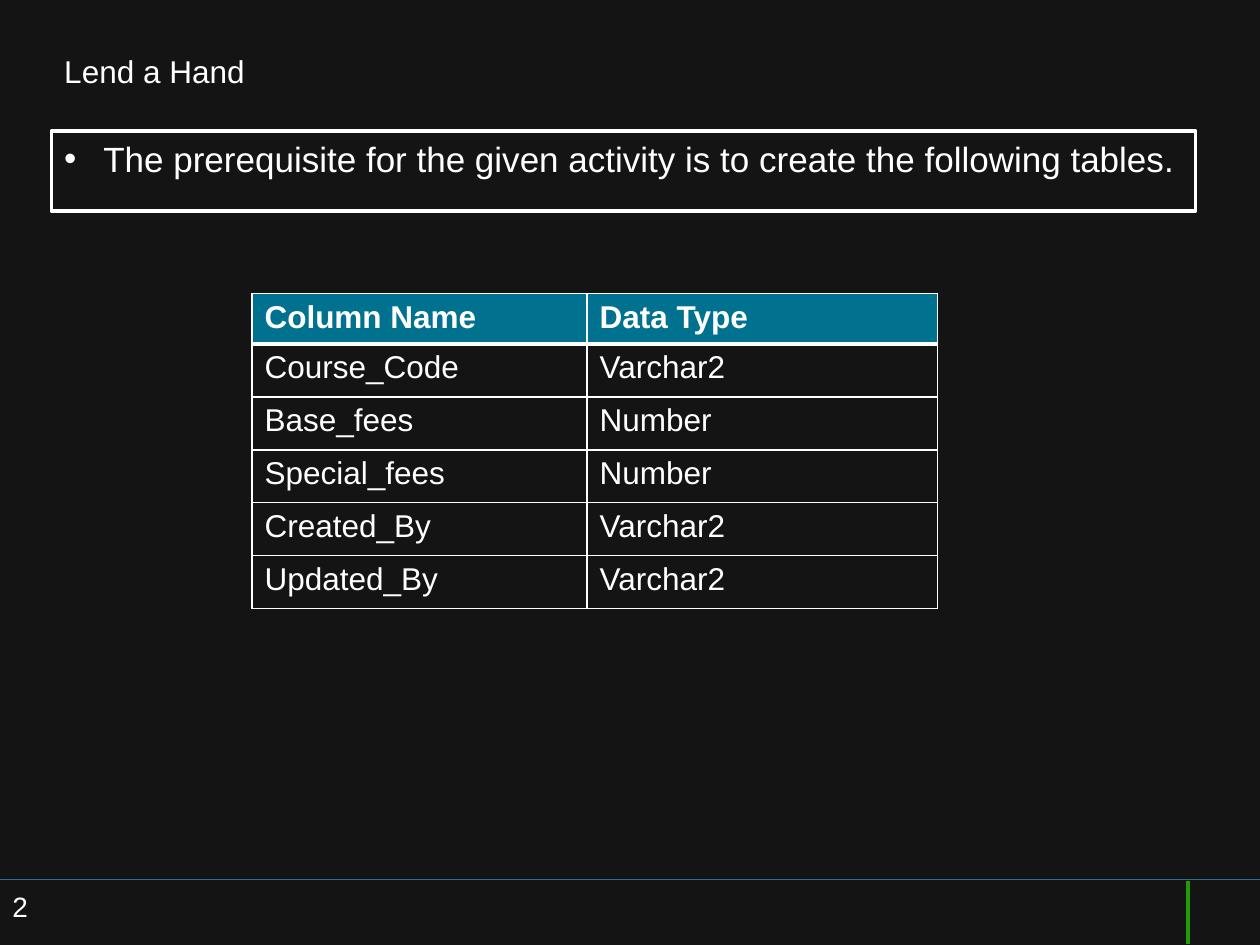
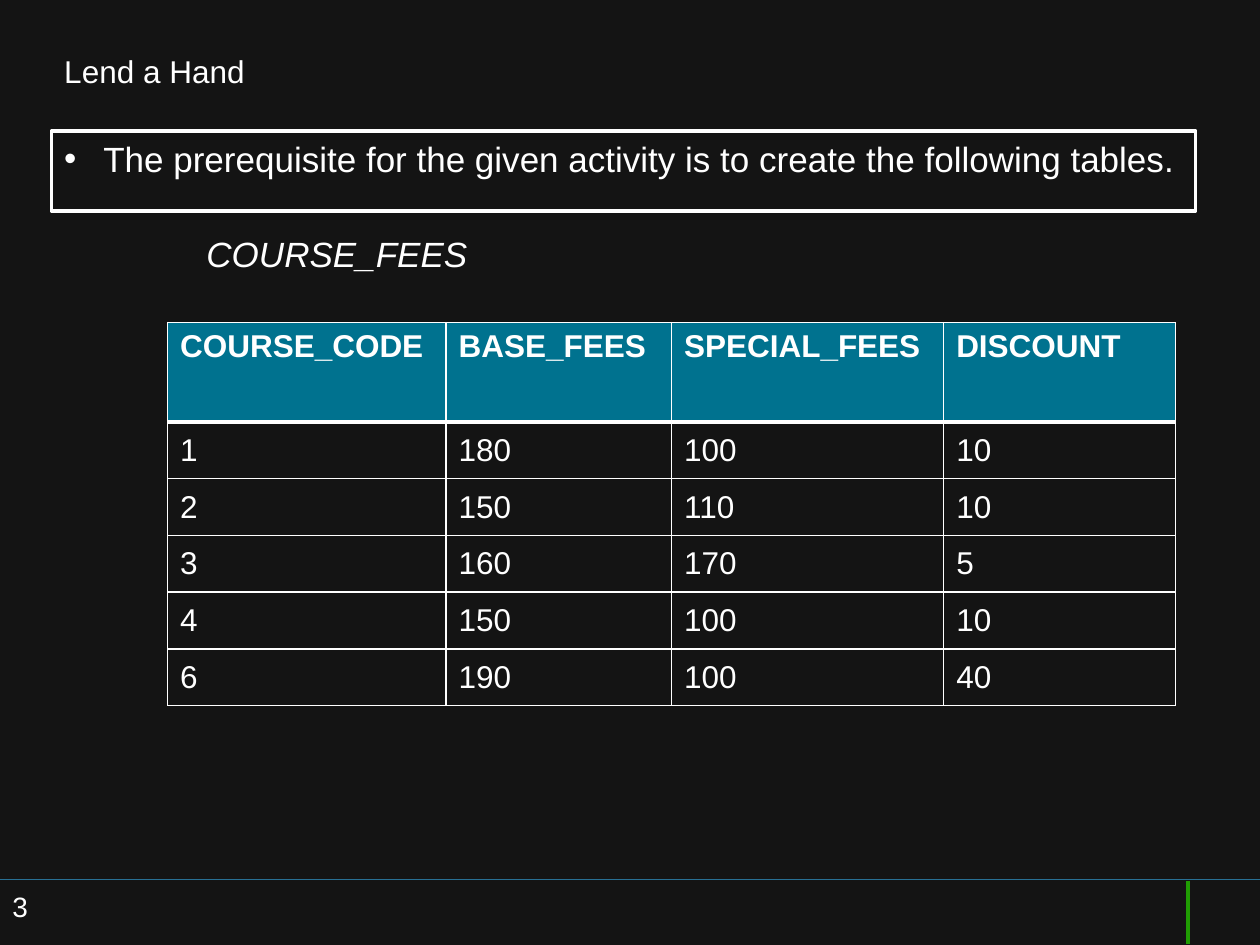
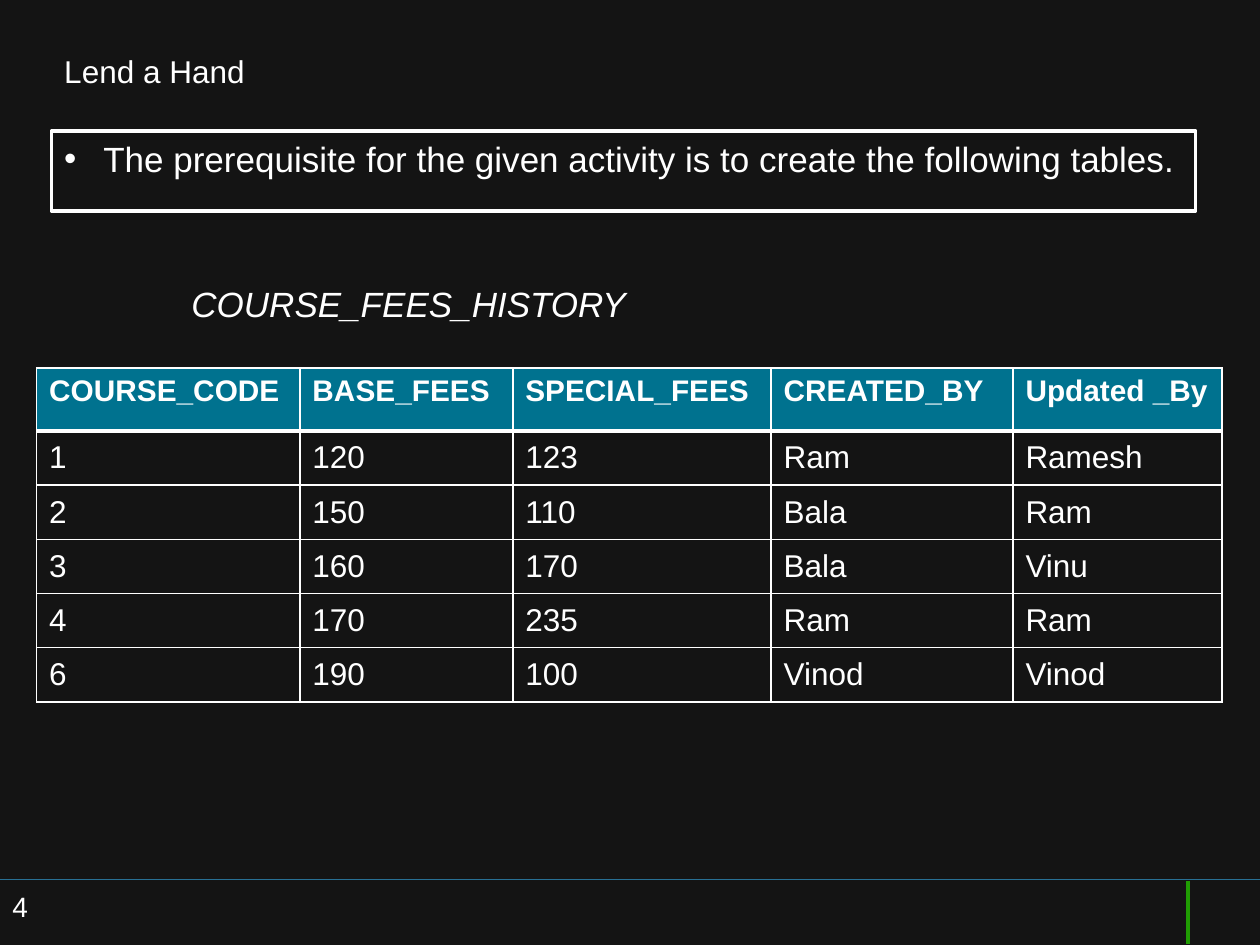
from dataclasses import dataclass

from lxml import etree
from pptx import Presentation
from pptx.dml.color import RGBColor
from pptx.enum import shapes, text
from pptx.oxml import ns
from pptx.util import Inches, Pt

HUES = {"back": "141414", "ink": "FFFFFF", "head": "00728F",
        "rule": "287094", "mark": "209D03"}
FONT = "Arial"
TITLE = "Lend a Hand"
NOTE = "The prerequisite for the given activity is to create the following tables."


@dataclass
class Label:
    words: str
    left: float
    top: float
    width: float
    wrap: bool = True


@dataclass
class Grid:
    left: float
    top: float
    cols: list[float]
    first: float  # height of the header row
    high: float  # height of the other rows
    rows: list[str]  # cells split by "|"
    size: int = 18  # header text size
    middle: bool = True


@dataclass
class Page:
    number: int
    grid: Grid
    label: Label | None = None


PAGES = [
    Page(2, Grid(2, 2.33, [2.66, 2.78], 0.4, 0.42, [
        "Column Name|Data Type",
        "Course_Code|Varchar2",
        "Base_fees|Number",
        "Special_fees|Number",
        "Created_By|Varchar2",
        "Updated_By|Varchar2"], middle=False)),
    Page(3, Grid(1.33, 2.56, [2.21, 1.79, 2.16, 1.84], 0.79, 0.45, [
        "COURSE_CODE|BASE_FEES|SPECIAL_FEES|DISCOUNT",
        "1|180|100|10",
        "2|150|110|10",
        "3|160|170|5",
        "4|150|100|10",
        "6|190|100|40"]), Label("COURSE_FEES", 1.54, 1.8, 2.46)),
    Page(4, Grid(0.29, 2.92, [2.09, 1.69, 2.05, 1.92, 1.66], 0.5, 0.43, [
        "COURSE_CODE|BASE_FEES|SPECIAL_FEES|CREATED_BY|Updated _By",
        "1|120|123|Ram|Ramesh",
        "2|150|110|Bala|Ram",
        "3|160|170|Bala|Vinu",
        "4|170|235|Ram|Ram",
        "6|190|100|Vinod|Vinod"], size=17),
        Label("COURSE_FEES_HISTORY", 1.42, 2.19, 3.68, wrap=False)),
]


def hue(name: str) -> RGBColor:
    return RGBColor.from_string(HUES[name])


def write(frame, words: str, size: int, bold=False, slant=False):
    """Put one run in the first paragraph, which is returned."""
    para = frame.paragraphs[0]
    para.alignment = text.PP_ALIGN.LEFT
    run = para.add_run()
    run.text = words
    font = run.font
    font.name, font.size, font.bold, font.italic = FONT, Pt(size), bold, slant
    font.color.rgb = hue("ink")
    return para


def place(shape, left: float, top: float, width: float, height: float) -> None:
    shape.left, shape.top = Inches(left), Inches(top)
    shape.width, shape.height = Inches(width), Inches(height)


def box(slide, label: Label, height: float, size: int, slant=False) -> None:
    shape = slide.shapes.add_textbox(0, 0, 0, 0)
    place(shape, label.left, label.top, label.width, height)
    shape.text_frame.word_wrap = label.wrap
    write(shape.text_frame, label.words, size, slant=slant)


def rule(slide, ends: tuple, name: str, width: float):
    line = slide.shapes.add_connector(
        shapes.MSO_CONNECTOR.STRAIGHT, *[Inches(n) for n in ends])
    line.line.color.rgb, line.line.width = hue(name), Pt(width)
    etree.SubElement(line.element.spPr, ns.qn("a:effectLst"))
    return line


def footer(slide, layout) -> None:
    """Draw the footer rules and hand them to the shared layout."""
    for line in (rule(slide, (10, 6.98, 0, 6.98), "rule", 0.75),
                 rule(slide, (9.43, 6.99, 9.43, 7.49), "mark", 2)):
        layout.shapes.element.append(line.element)


def heading(slide) -> None:
    title = slide.shapes.title
    place(title, 0.41, 0.36, 9.18, 0.66)
    title.text_frame.vertical_anchor = text.MSO_ANCHOR.TOP
    write(title.text_frame, TITLE, 18)


def notice(slide) -> None:
    """Outlined box with the single bulleted line."""
    body = slide.placeholders[1]
    place(body, 0.41, 1.04, 9.08, 0.44)
    body.fill.background()
    body.line.color.rgb, body.line.width = hue("ink"), Pt(2)
    frame = body.text_frame
    frame.auto_size = text.MSO_AUTO_SIZE.SHAPE_TO_FIT_TEXT
    frame.vertical_anchor = text.MSO_ANCHOR.TOP
    para = write(frame, NOTE, 20)
    para.space_before = Pt(0)
    props = para._p.get_or_add_pPr()
    props.set("marL", str(Inches(0.31)))
    props.set("indent", str(-Inches(0.31)))
    etree.SubElement(props, ns.qn("a:buFont"), typeface=FONT)
    etree.SubElement(props, ns.qn("a:buChar"), char="\u2022")


def border(cell, side: str, width: float) -> None:
    props = cell._tc.get_or_add_tcPr()
    line = etree.SubElement(props, ns.qn("a:ln" + side), w=str(Pt(width)))
    fill = etree.SubElement(line, ns.qn("a:solidFill"))
    etree.SubElement(fill, ns.qn("a:srgbClr"), val=HUES["ink"])


def table(slide, grid: Grid) -> None:
    highs = [grid.first] + [grid.high] * (len(grid.rows) - 1)
    frame = slide.shapes.add_table(
        len(highs), len(grid.cols), Inches(grid.left), Inches(grid.top),
        Inches(sum(grid.cols)), Inches(sum(highs)))
    tab = frame.table
    tab.horz_banding = False
    for col, width in zip(tab.columns, grid.cols):
        col.width = Inches(width)
    for i, (high, row) in enumerate(zip(highs, grid.rows)):
        tab.rows[i].height = Inches(high)
        head = i == 0
        for j, words in enumerate(row.split("|")):
            cell = tab.cell(i, j)
            # The line under the header is thick
            for side in "LRTB":
                thick = (side, i) in (("B", 0), ("T", 1))
                border(cell, side, 3 if thick else 1)
            if head:
                cell.fill.solid()
                cell.fill.fore_color.rgb = hue("head")
            else:
                cell.fill.background()
                if grid.middle:
                    cell.vertical_anchor = text.MSO_ANCHOR.MIDDLE
            write(cell.text_frame, words, grid.size if head else 18, bold=head)


# Deck and shared background
deck = Presentation()
deck.slide_width, deck.slide_height = Inches(10), Inches(7.5)
ground = deck.slide_master.background.fill
ground.solid()
ground.fore_color.rgb = hue("back")
layout = deck.slide_layouts[1]

# Slides
for page in PAGES:
    slide = deck.slides.add_slide(layout)
    if page is PAGES[0]:
        footer(slide, layout)
    heading(slide)
    box(slide, Label(str(page.number), 0, 7.01, 0.5), 0.3, 16)
    notice(slide)
    table(slide, page.grid)
    if page.label:
        box(slide, page.label, 0.44, 20, slant=True)

deck.save("out.pptx")
